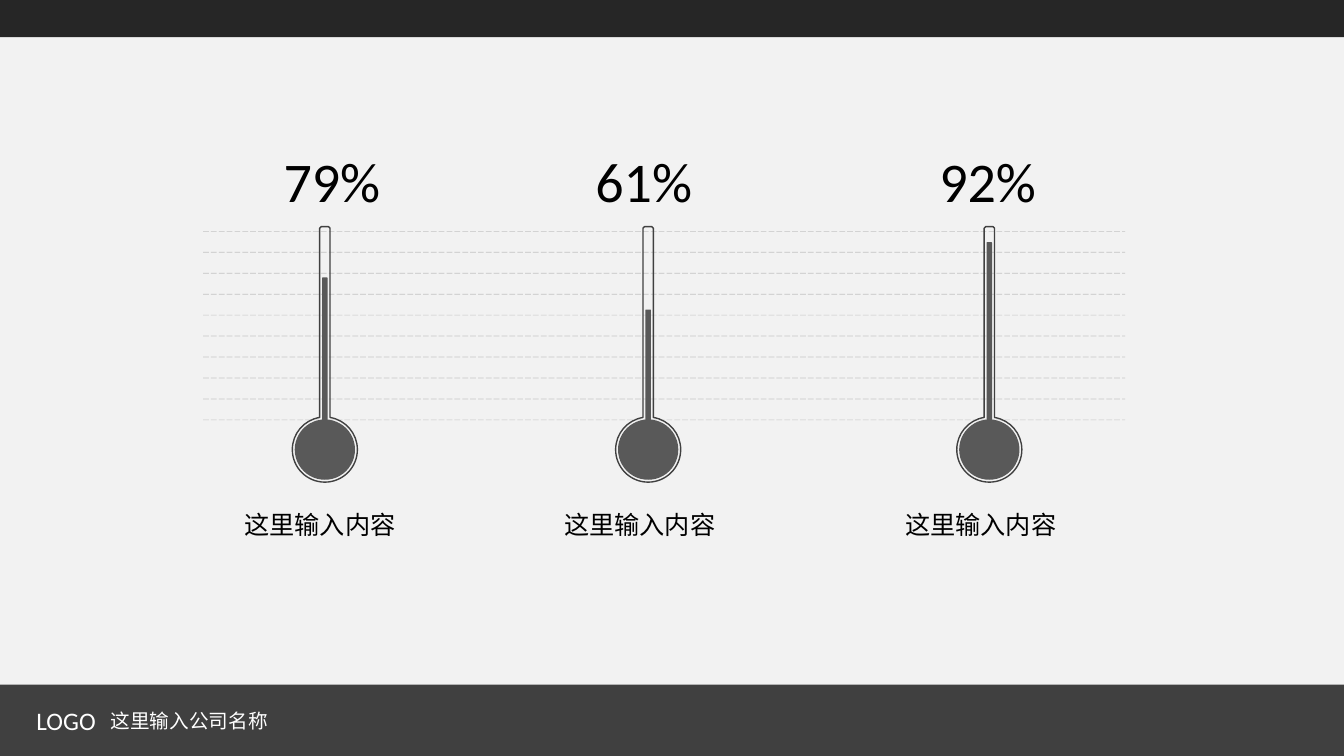
from math import asin, cos, pi, sin, tan

from lxml.etree import SubElement
from pptx import Presentation
from pptx.dml.color import RGBColor
from pptx.enum.dml import MSO_LINE
from pptx.enum.shapes import MSO_CONNECTOR, MSO_SHAPE
from pptx.enum.text import MSO_AUTO_SIZE
from pptx.oxml.ns import qn
from pptx.util import Cm, Pt

LATIN, CJK = "Calibri", "Noto Sans CJK SC"


def paint(fmt, color):
    """Give a fill or a font colour the solid hex color."""
    if hasattr(fmt, "solid"):
        fmt.solid()
        fmt = fmt.fore_color
    fmt.rgb = RGBColor.from_string(color)


def add_text(text, x, y, w, h, size, name, color="000000"):
    tf = slide.shapes.add_textbox(Cm(x), Cm(y), Cm(w), Cm(h)).text_frame
    tf.word_wrap = True
    tf.auto_size = MSO_AUTO_SIZE.SHAPE_TO_FIT_TEXT
    r = tf.paragraphs[0].add_run()
    r.text = text
    for key, value in {"size": Pt(size), "name": name}.items():
        setattr(r.font, key, value)
    paint(r.font.color, color)
    SubElement(r.font._element, qn("a:ea"), typeface=name)


prs = Presentation()
prs.slide_width, prs.slide_height = Cm(33.88), Cm(19.05)
slide = prs.slides.add_slide(prs.slide_layouts[6])
paint(slide.background.fill, "F2F2F2")

# Header and footer bands
for y, h, color in [(17.25, 1.8, "404040"), (0, 0.94, "262626")]:
    sp = slide.shapes.add_shape(MSO_SHAPE.RECTANGLE, 0, Cm(y), prs.slide_width, Cm(h))
    sp.shadow.inherit = False
    paint(sp.fill, color)
    sp.line.fill.background()

# Scale lines
for i in range(10):
    y = Cm(5.83 + i * 4.75 / 9)
    line = slide.shapes.add_connector(MSO_CONNECTOR.STRAIGHT, Cm(5.12), y, Cm(28.36), y)
    paint(line.line.fill, "BFBFBF")
    line.line.width = Pt(0.5)
    line.line.dash_style = MSO_LINE.LONG_DASH
    rgb = line.line.fill._xPr.find(qn("a:solidFill"))[0]
    SubElement(rgb, qn("a:alpha"), val="89000")
    SubElement(line._element.spPr, qn("a:effectLst"))

add_text("LOGO", 0.67, 17.64, 2.01, 1.02, 18, LATIN, "FFFFFF")
add_text("这里输入公司名称", 2.54, 17.73, 4.62, 0.86, 14, CJK, "FFFFFF")

# Thermometers: a round glass with a tube, a bulb and a mercury column
TUBE_TOP, TUBE_HALF, CORNER = 5.71, 0.13, 0.04
BULB_Y, GLASS_R, BULB_R = 11.33, 0.82, 0.76
MERCURY_HALF, MERCURY_BOTTOM = 0.07, 10.92
neck = asin(TUBE_HALF / GLASS_R)
stops = [neck, pi / 2, pi, 3 * pi / 2, 2 * pi - neck]

# Bezier points of the round glass, about its centre, clockwise from the neck
arc = [(sin(neck), -cos(neck))]
for a, b in zip(stops, stops[1:]):
    k = 4 / 3 * tan((b - a) / 4)
    arc += [
        (sin(a) + k * cos(a), -cos(a) + k * sin(a)),
        (sin(b) - k * cos(b), -cos(b) - k * sin(b)),
        (sin(b), -cos(b)),
    ]

# value, centre, top of mercury, left of value text, left of label
thermometers = [
    ("79%", 8.19, 6.99, 6.9, 5.91),
    ("61%", 16.34, 7.8, 14.76, 13.97),
    ("92%", 24.94, 6.1, 23.43, 22.57),
]
for value, cx, mercury_top, value_x, label_x in thermometers:
    points = [(cx + GLASS_R * x, BULB_Y + GLASS_R * y) for x, y in arc]
    points += [
        (cx - TUBE_HALF, TUBE_TOP + CORNER),
        (cx - TUBE_HALF + CORNER, TUBE_TOP),
        (cx + TUBE_HALF - CORNER, TUBE_TOP),
        (cx + TUBE_HALF, TUBE_TOP + CORNER),
    ]
    points = [(Cm(x), Cm(y)) for x, y in points]
    outline = slide.shapes.build_freeform(*points[0])
    outline.add_line_segments(points[1:], close=True)
    glass = outline.convert_to_shape()
    glass.shadow.inherit = False
    glass.fill.background()
    paint(glass.line.fill, "404040")
    glass.line.width = Pt(1)

    # Each three segments of the round part become one curve
    segments = list(glass._element.iter(qn("a:lnTo")))
    for i in range(0, len(arc) - 1, 3):
        curve, *others = segments[i : i + 3]
        curve.tag = qn("a:cubicBezTo")
        for other in others:
            curve.append(other[0])
            other.getparent().remove(other)

    for kind, half, top, bottom in [
        (MSO_SHAPE.OVAL, BULB_R, BULB_Y - BULB_R, BULB_Y + BULB_R),
        (MSO_SHAPE.ROUNDED_RECTANGLE, MERCURY_HALF, mercury_top, MERCURY_BOTTOM),
    ]:
        sp = slide.shapes.add_shape(
            kind, Cm(cx - half), Cm(top), Cm(2 * half), Cm(bottom - top)
        )
        sp.shadow.inherit = False
        paint(sp.fill, "595959")
        sp.line.fill.background()

    add_text(value, value_x, 3.58, 3.12, 1.96, 40, LATIN)
    add_text("这里输入内容", label_x, 12.7, 4.6, 1.02, 18, CJK)

prs.save("out.pptx")
